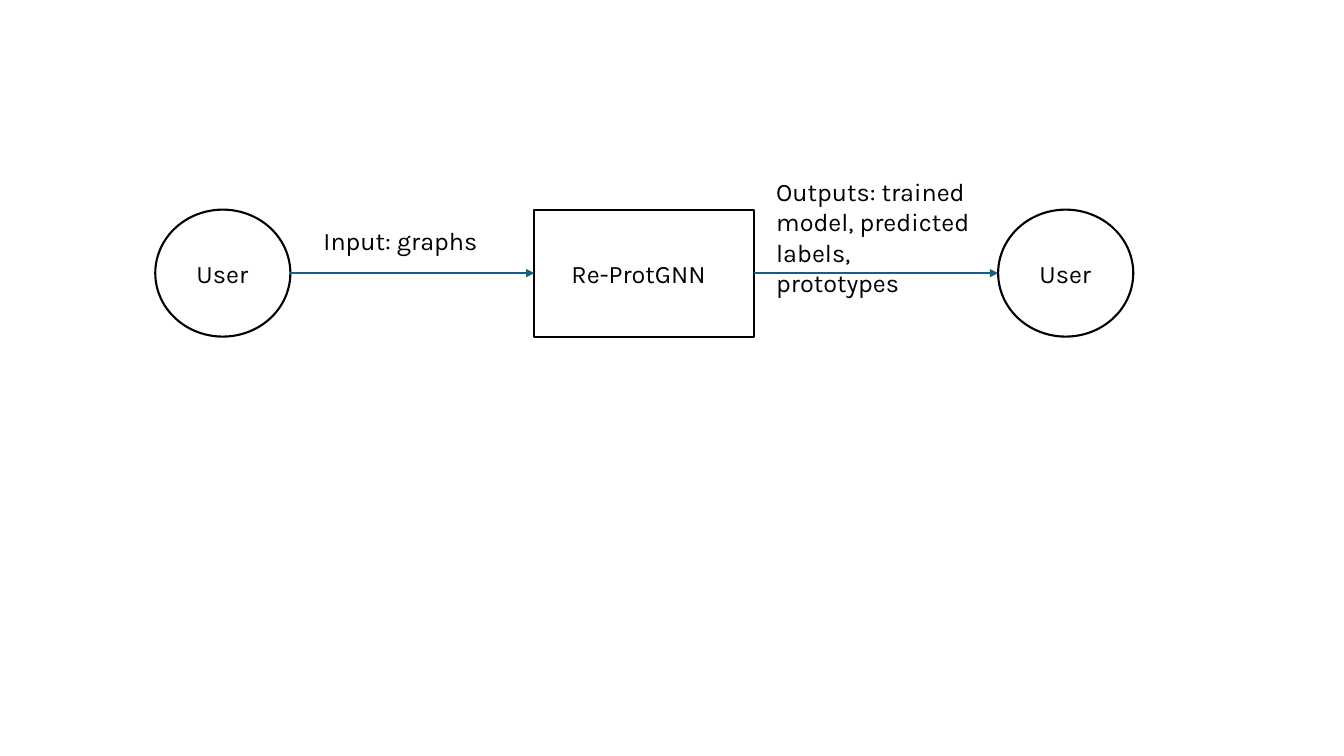
from pptx import Presentation
from pptx.dml.color import RGBColor
from pptx.enum.shapes import MSO_CONNECTOR as CONN, MSO_SHAPE as SHAPE
from pptx.enum.text import MSO_AUTO_SIZE as FIT
from pptx.oxml.ns import qn
from pptx.util import Inches, Pt
from lxml import etree

TOP, HEIGHT = 2.08, 1.26
MIDDLE = TOP + HEIGHT / 2
USER_W = 1.34
INPUT_X, MODEL_X, OUTPUT_X = 1.54, 5.3, 9.9
MODEL_W = 2.18
LABEL_H = 0.4
LABEL_TOP = MIDDLE - LABEL_H / 2


def color(value):
    """Turn a hex string into a colour."""
    return RGBColor.from_string(value)


def add_outline(shapes, kind, x, width):
    """Add an unfilled node outline on the flow's row."""
    s = shapes.add_shape(kind, Inches(x), Inches(TOP), Inches(width), Inches(HEIGHT))
    s.shadow.inherit = False
    s.fill.background()
    s.line.color.rgb = color("000000")
    s.line.width = Pt(1.5)


def add_label(shapes, text, x, y, width, height=LABEL_H):
    """Add a wrapped text label."""
    s = shapes.add_textbox(Inches(x), Inches(y), Inches(width), Inches(height))
    tf = s.text_frame
    tf.text = text
    tf.word_wrap = True
    tf.auto_size = FIT.SHAPE_TO_FIT_TEXT
    r = tf.paragraphs[0].runs[0]
    r.font.name = "Karla"
    r.font.size = Pt(18)
    r.font.color.rgb = color("000000")


def add_user(shapes, x):
    """Add a grouped user circle with its centred label."""
    group = shapes.add_group_shape()
    add_outline(group.shapes, SHAPE.OVAL, x, USER_W)
    add_label(group.shapes, "User", x + 0.31, LABEL_TOP, 0.72)


def add_arrow(shapes, start, end):
    """Add a horizontal arrow along the flow's axis."""
    s = shapes.add_connector(
        CONN.STRAIGHT, Inches(start), Inches(MIDDLE), Inches(end), Inches(MIDDLE)
    )
    s.line.color.rgb = color("156082")
    s.line.width = Pt(1.5)
    etree.SubElement(s.line._get_or_add_ln(), qn("a:tailEnd"), type="triangle")
    etree.SubElement(s._element.spPr, qn("a:effectLst"))


def main():
    """Build the input and output flow slide."""
    prs = Presentation()
    prs.slide_width, prs.slide_height = Inches(13.33), Inches(7.5)
    shapes = prs.slides.add_slide(prs.slide_layouts[6]).shapes

    add_outline(shapes, SHAPE.RECTANGLE, MODEL_X, MODEL_W)
    for x in (INPUT_X, OUTPUT_X):
        add_user(shapes, x)
    add_arrow(shapes, INPUT_X + USER_W, MODEL_X)
    add_arrow(shapes, MODEL_X + MODEL_W, OUTPUT_X)

    add_label(shapes, "Re-ProtGNN", 5.57, LABEL_TOP, 1.63)
    add_label(shapes, "Input: graphs", 3.11, 2.19, 1.88)
    outputs = "Outputs: trained model, predicted labels, prototypes"
    add_label(shapes, outputs, 7.6, 1.7, 2.18, 1.01)

    prs.save("out.pptx")


if __name__ == "__main__":
    main()
